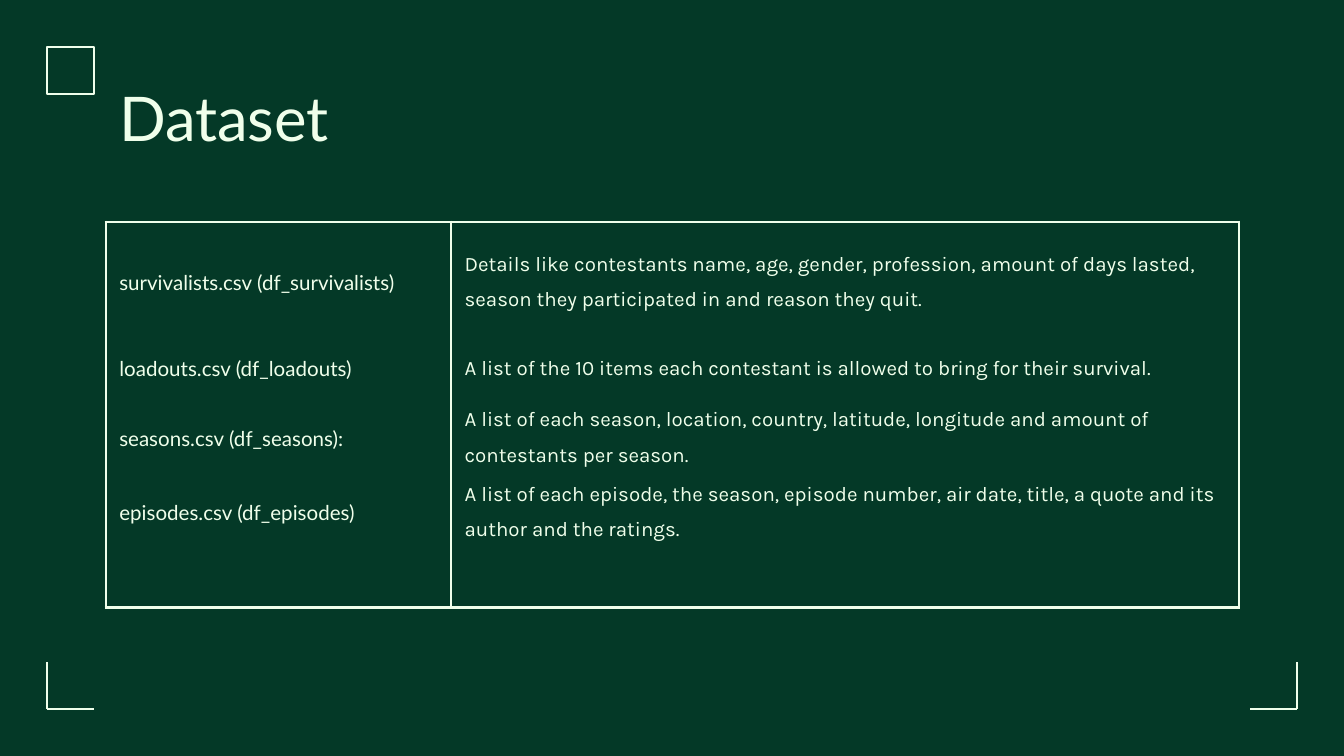
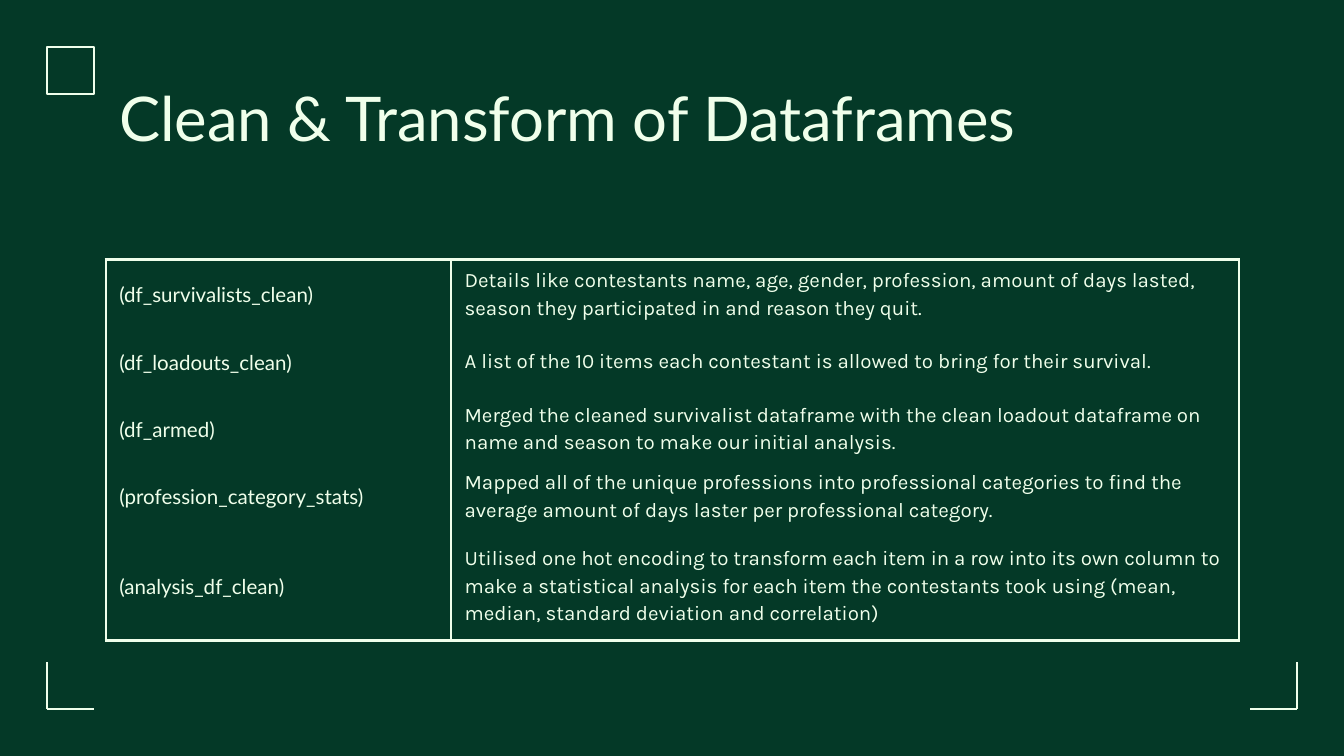
import pptx
import pptx.dml.color
import pptx.enum.shapes
import pptx.enum.text
import pptx.oxml
import pptx.oxml.ns
import pptx.util
from lxml import etree

Pt = pptx.util.Pt
qn = pptx.oxml.ns.qn
GREEN = pptx.dml.color.RGBColor(0x04, 0x39, 0x27)
MINT = pptx.dml.color.RGBColor(0xF0, 0xFF, 0xEB)
WIDTH, HEIGHT = 720, 405
MARGIN = 25.2
MARK = 25.2
LEFT = 56.7
COLUMNS = (185, 422)
LINE = 1.5


class Deck:
    def __init__(self):
        self.prs = pptx.Presentation()
        self.prs.slide_width = Pt(WIDTH)
        self.prs.slide_height = Pt(HEIGHT)
        self.s = None

    def slide(self, title):
        self.s = self.prs.slides.add_slide(self.prs.slide_layouts[6])
        fill = self.s.background.fill
        fill.solid()
        fill.fore_color.rgb = GREEN
        self.square(MARGIN, MARGIN, MARK)
        bottom = HEIGHT - MARGIN
        for x, inward in ((MARGIN, MARK), (WIDTH - MARGIN, -MARK)):
            self.line(x, bottom, x + inward, bottom)
            self.line(x, bottom - MARK, x, bottom)
        self.title(title)

    def square(self, x, y, size):
        kind = pptx.enum.shapes.MSO_SHAPE.RECTANGLE
        sp = self.s.shapes.add_shape(kind, Pt(x), Pt(y), Pt(size), Pt(size))
        sp.shadow.inherit = False
        sp.fill.background()
        sp.line.color.rgb = MINT
        sp.line.width = Pt(LINE)

    def line(self, x1, y1, x2, y2):
        kind = pptx.enum.shapes.MSO_CONNECTOR.STRAIGHT
        sp = self.s.shapes.add_connector(kind, Pt(x1), Pt(y1), Pt(x2), Pt(y2))
        sp.line.color.rgb = MINT
        sp.line.width = Pt(LINE)
        etree.SubElement(sp._element.spPr, qn("a:effectLst"))

    def text(self, p, text, font, size):
        p.text = text
        p.font.name = font
        p.font.size = Pt(size)
        p.font.color.rgb = MINT

    def title(self, text):
        sp = self.s.shapes.add_textbox(Pt(LEFT), Pt(35.4), Pt(sum(COLUMNS)), Pt(45.4))
        tf = sp.text_frame
        tf.word_wrap = True
        tf.margin_left = tf.margin_right = tf.margin_top = tf.margin_bottom = Pt(7.2)
        self.text(tf.paragraphs[0], text, "Lato", 33)

    def table(self, top, heights, rows, spacing):
        frame = self.s.shapes.add_table(
            len(heights), len(COLUMNS), Pt(LEFT), Pt(top), Pt(sum(COLUMNS)), Pt(sum(heights)))
        table = frame.table
        table.first_row = table.horz_banding = False
        for column, width in zip(table.columns, COLUMNS):
            column.width = Pt(width)
        last = len(heights) - 1
        for i, (height, texts) in enumerate(zip(heights, rows)):
            table.rows[i].height = Pt(height)
            for j, (text, font, after) in enumerate(zip(texts, ("Lato", "Karla"), (0, 16))):
                cell = table.cell(i, j)
                cell.vertical_anchor = pptx.enum.text.MSO_ANCHOR.MIDDLE
                cell.margin_left = cell.margin_right = Pt(7.2)
                cell.margin_top = cell.margin_bottom = Pt(0)
                cell.fill.background()
                self.borders(cell, i == 0, i == last)
                p = cell.text_frame.paragraphs[0]
                p.line_spacing = spacing
                p.space_after = Pt(after)
                self.text(p, text, font, 11)

    def borders(self, cell, top, bottom):
        tc_pr = cell._tc.get_or_add_tcPr()
        sides = (("a:lnL", True), ("a:lnR", True), ("a:lnT", top), ("a:lnB", bottom))
        for i, (tag, visible) in enumerate(sides):
            ln = pptx.oxml.ns.qn(tag)
            ln = tc_pr.makeelement(ln, {"w": str(Pt(LINE))})
            tc_pr.insert(i, ln)
            if visible:
                fill = etree.SubElement(ln, qn("a:solidFill"))
                etree.SubElement(fill, qn("a:srgbClr"), val=str(MINT))
            else:
                etree.SubElement(ln, qn("a:noFill"))


SURVIVALISTS = ("Details like contestants name, age, gender, profession, amount of days lasted, "
                "season they participated in and reason they quit.")
LOADOUTS = "A list of the 10 items each contestant is allowed to bring for their survival."
DATASET = (
    ("survivalists.csv (df_survivalists)", SURVIVALISTS),
    ("loadouts.csv (df_loadouts)", LOADOUTS),
    ("seasons.csv (df_seasons):",
     "A list of each season, location, country, latitude, longitude and amount of "
     "contestants per season."),
    ("episodes.csv (df_episodes)",
     "A list of each episode, the season, episode number, air date, title, a quote and its "
     "author and the ratings."),
    ("", ""),
)
DATAFRAMES = (
    ("(df_survivalists_clean)", SURVIVALISTS),
    ("(df_loadouts_clean)", LOADOUTS),
    ("(df_armed)",
     "Merged the cleaned survivalist dataframe with the clean loadout dataframe on "
     "name and season to make our initial analysis."),
    ("(profession_category_stats)",
     "Mapped all of the unique professions into professional categories to find the "
     "average amount of days laster per professional category."),
    ("(analysis_df_clean)",
     "Utilised one hot encoding to transform each item in a row into its own column to "
     "make a statistical analysis for each item the contestants took using (mean, "
     "median, standard deviation and correlation)"),
)


def main():
    deck = Deck()
    deck.slide("Dataset")
    deck.table(118.8, [58.3] + [34.6] * 4, DATASET, 1.5)
    deck.slide("Clean & Transform of Dataframes")
    deck.table(139, [36] * 4 + [60.2], DATAFRAMES, 1.15)
    deck.prs.save("out.pptx")


if __name__ == "__main__":
    main()
